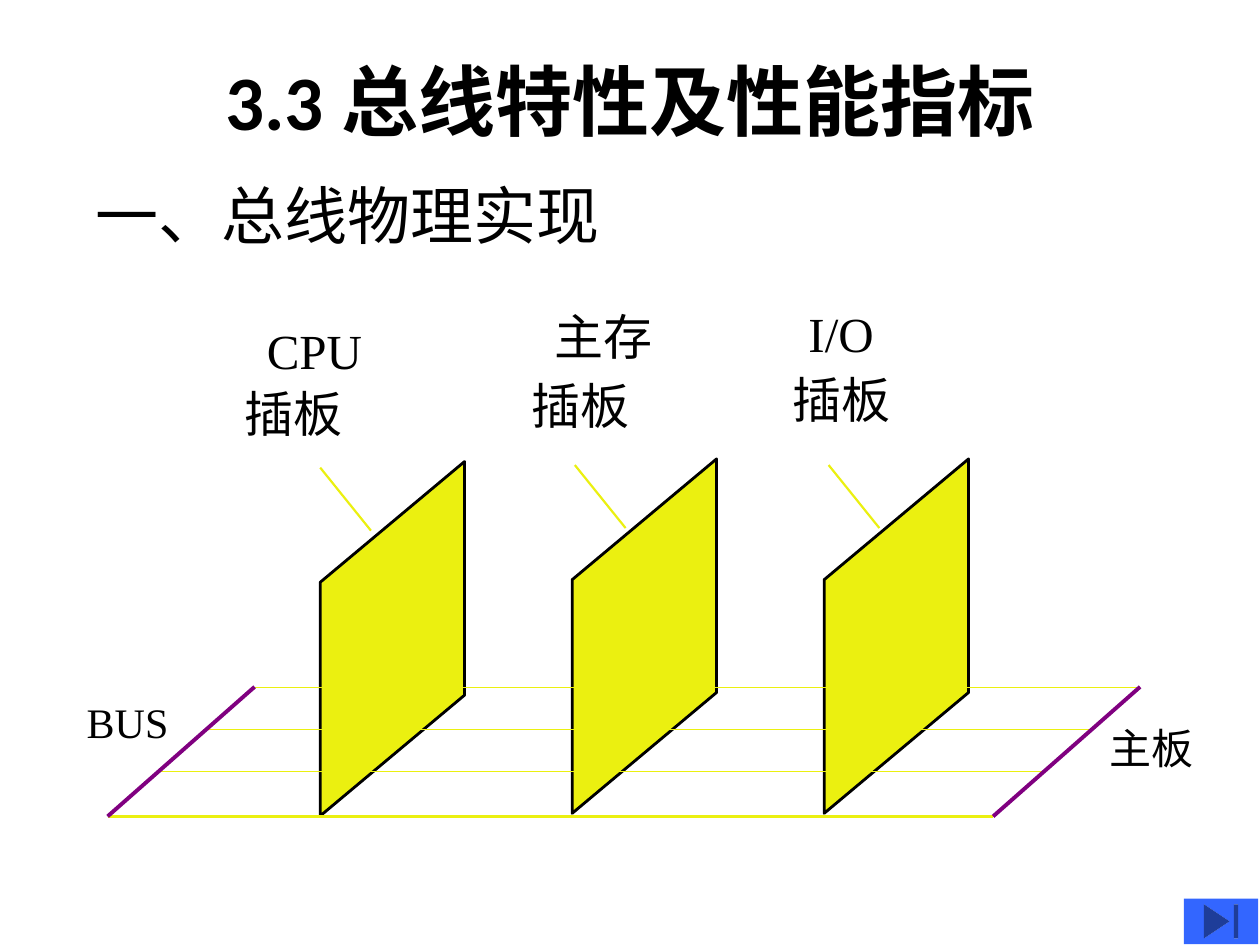
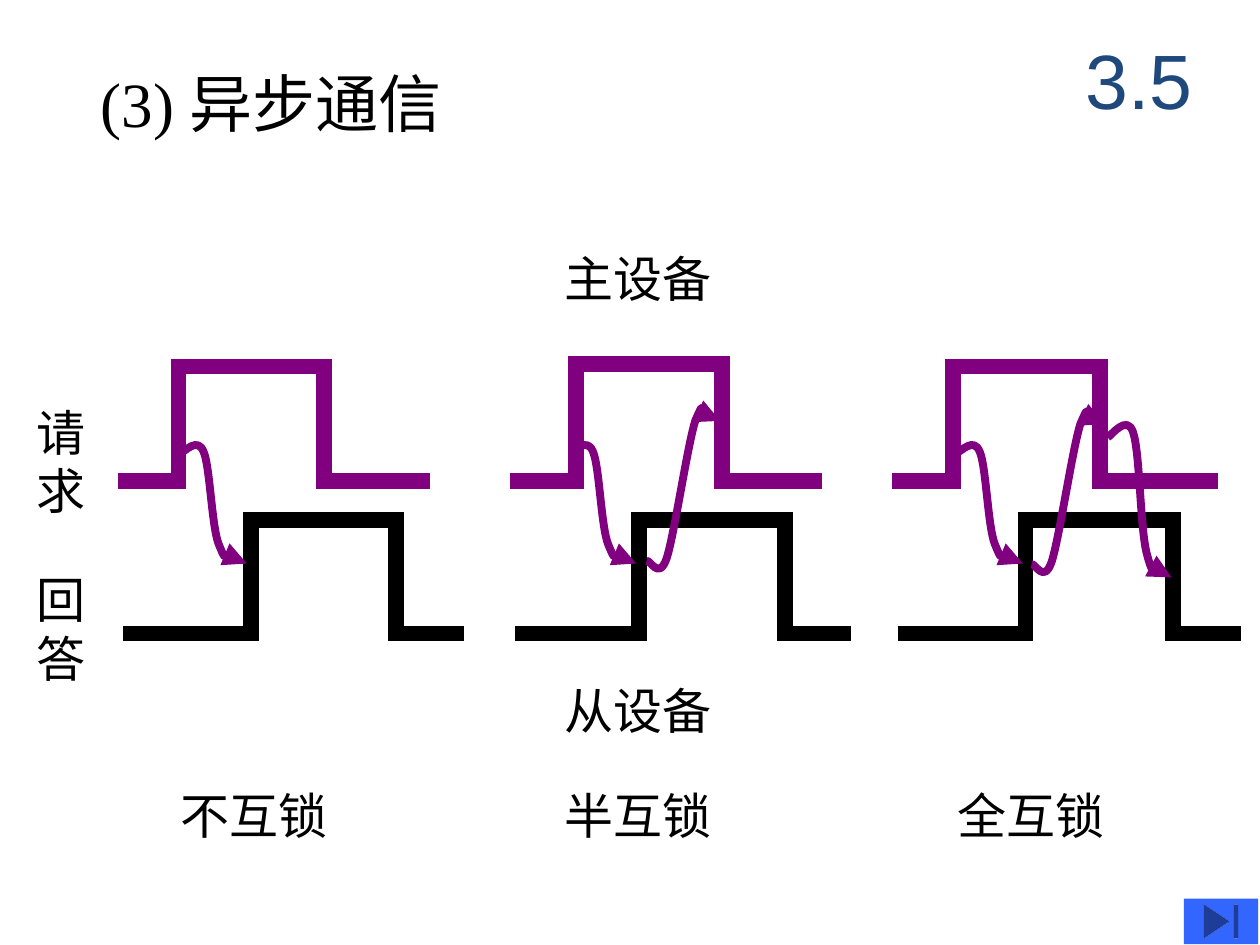
from dataclasses import dataclass, field

from lxml import etree
from pptx import Presentation
from pptx.dml.color import RGBColor
from pptx.enum import shapes, text
from pptx.oxml import ns
from pptx.util import Pt


@dataclass(frozen=True)
class Theme:
    ink: str = "000000"
    navy: str = "1F497D"
    purple: str = "800080"
    yellow: str = "EBF010"
    button: str = "3366FF"
    thin: float = 0.75
    lead: float = 1.25
    edge: float = 1.62
    rail: float = 2.25
    arrow: float = 4.5
    pulse: float = 9
    serif: str = "Times New Roman"
    styles: dict = field(default_factory=lambda: {
        "title": dict(name="Calibri", size=Pt(44), bold=True),
        "number": dict(name="Arial", size=Pt(44)),
        "heading": dict(name=Theme.serif, size=Pt(36)),
        "label": dict(name=Theme.serif, size=Pt(28)),
        "board": dict(name="Calibri", size=Pt(28)),
        "small": dict(name=Theme.serif, size=Pt(24)),
    })


T = Theme()

# Cubic curves: a start point, then three points for each piece.
RISE = [(36, 50.5), (38, 50.5), (45.5, 41), (49, 50.5), (52.5, 59), (53.5, 93),
        (57.5, 103), (62, 114), (70, 111.5), (73.5, 114)]
REPLY = [(0, 0), (2, -1), (7, 11.5), (11.5, -1.5), (16, -15.5), (23.5, -67),
         (28, -80.5), (33.5, -93), (40, -80), (42, -80)]
RELEASE = [(0, 0), (2, -1), (11, -13.5), (14.5, -3), (18.5, 8.5), (18.5, 53),
           (22.5, 67), (26, 80), (34.5, 75), (36.5, 77), (39, 79), (36.5, 79),
           (36.5, 80)]


def set_all(obj, values):
    for name, value in values.items():
        setattr(obj, name, value)


def rgb(value):
    return RGBColor.from_string(value)


def put_text(s, box, content, style, color=T.ink, inset=(7.2, 3.6), wrap=False,
             centred=False):
    """Write one paragraph for each line of content."""
    tf = s.shapes.add_textbox(*map(Pt, box)).text_frame
    dx, dy = map(Pt, inset)
    fit = text.MSO_AUTO_SIZE
    set_all(tf, dict(
        word_wrap=wrap, margin_left=dx, margin_right=dx, margin_top=dy, margin_bottom=dy,
        auto_size=fit.NONE if centred else fit.SHAPE_TO_FIT_TEXT,
        vertical_anchor=text.MSO_ANCHOR.MIDDLE if centred else text.MSO_ANCHOR.TOP))
    for i, line in enumerate(content.split("\n")):
        p = tf.paragraphs[0] if i == 0 else tf.add_paragraph()
        p.alignment = text.PP_ALIGN.CENTER if centred else text.PP_ALIGN.LEFT
        r = p.add_run()
        r.text = line
        set_all(r.font, T.styles[style])
        r.font.color.rgb = rgb(color)


def set_line(sp, color, width):
    sp.line.color.rgb = rgb(color)
    sp.line.width = Pt(width)


def draw_line(s, start, end, color, width):
    c = s.shapes.add_connector(shapes.MSO_CONNECTOR.STRAIGHT, *map(Pt, start + end))
    set_line(c, color, width)
    etree.SubElement(c._element.spPr, ns.qn("a:effectLst"))


def draw_path(s, points, color, width, close=False):
    points = [(Pt(x), Pt(y)) for x, y in points]
    fb = s.shapes.build_freeform(*points[0])
    fb.add_line_segments(points[1:], close=close)
    sp = fb.convert_to_shape()
    sp.shadow.inherit = False
    set_line(sp, color, width)
    return sp


def draw_curved_arrow(s, points, color, width):
    """Draw chained cubic pieces that end in an arrowhead."""
    sp = draw_path(s, points, color, width)
    sp.fill.background()
    steps = list(sp._element.iter(ns.qn("a:lnTo")))
    for i in range(0, len(steps), 3):
        cubic = etree.Element(ns.qn("a:cubicBezTo"))
        steps[i].addprevious(cubic)
        for step in steps[i:i + 3]:
            cubic.append(step[0])
            step.getparent().remove(step)
    ln = sp.line._get_or_add_ln()
    etree.SubElement(ln, ns.qn("a:round"))
    etree.SubElement(ln, ns.qn("a:tailEnd"), type="triangle")


def shift(points, dx, dy):
    return [(x + dx, y + dy) for x, y in points]


def draw_end_button(s):
    sp = s.shapes.add_shape(shapes.MSO_SHAPE.ACTION_BUTTON_END,
                            *map(Pt, (676.5, 513.5, 42.5, 26)))
    sp.shadow.inherit = False
    sp.fill.solid()
    sp.fill.fore_color.rgb = rgb(T.button)
    sp.line.fill.background()


def draw_board(s, box, name, name_at, slot_at, lead_dx):
    """Draw a slanted plug-in board with its two label lines and a lead."""
    x, y, w, h = box
    slant = 69
    sp = draw_path(s, [(x, y + slant), (x + w, y), (x + w, y + h - slant), (x, y + h)],
                   T.ink, T.edge, close=True)
    sp.fill.solid()
    sp.fill.fore_color.rgb = rgb(T.yellow)
    for label, (dx, dy), style in ((name, name_at, "label"), ("插板", slot_at, "board")):
        put_text(s, (x + dx, y + dy, 60, 34), label, style, inset=(0, 0))
    start = (x + lead_dx, y + 3.5)
    draw_line(s, start, (start[0] + 29, start[1] + 36), T.yellow, T.lead)


def draw_bus(s, box):
    """Draw the motherboard: four bus lines between two slanted rails."""
    x, y, w, h = box
    slant = 84
    span = w - slant
    for dy, width in ((0.5, T.thin), (24.4, T.thin), (48.3, T.thin), (h, T.edge)):
        left, top = x + slant * (1 - dy / h), y + dy
        draw_line(s, (left, top), (left + span, top), T.yellow, width)
    for dx in (0, span):
        draw_line(s, (x + dx + slant, y), (x + dx, y + h), T.purple, T.rail)
    put_text(s, (x - 19, y + 2, 66, 36), "BUS", "small")
    put_text(s, (x + w - 24.5, y + 17, 70, 36), "主板", "small")


def draw_pulse(s, xs, low, high, color):
    """Draw a square pulse from five bars whose ends overlap at the corners."""
    start, rise, fall, end = xs
    half = T.pulse / 2
    top, bottom = min(low, high) - half, max(low, high) + half
    for a, b in (((start, low), (rise + half, low)),
                 ((rise, top), (rise, bottom)),
                 ((rise - half, high), (fall + half, high)),
                 ((fall, top), (fall, bottom)),
                 ((fall - half, low), (end, low))):
        draw_line(s, a, b, color, T.pulse)


def draw_handshake(s, at, request, answer, high, rise_dx, arrows):
    """Draw a request pulse, its answer pulse and the arrows between them."""
    x, y = at
    draw_pulse(s, [x + dx for dx in request], y + 67, y + high, T.purple)
    draw_pulse(s, [x + dx for dx in answer], y + 154, y + 89, T.ink)
    for curve, dx, dy in [(RISE, rise_dx, 0)] + arrows:
        draw_curved_arrow(s, shift(curve, x + dx, y + dy), T.purple, T.arrow)


def bus_slide(s):
    put_text(s, (54, 11.75, 612, 90), "3.3 总线特性及性能指标", "title", wrap=True,
             centred=True)
    put_text(s, (47.5, 97.5, 310, 50), "一、总线物理实现", "heading")
    boards = [("CPU", 263.75, (-30.5, -80.5), (-43.5, -44.5), 0),
              ("主存", 262.25, (-10, -87), (-23, -47.5), 1.5),
              ("I/O", 262.25, (-9, -89), (-18, -51), 2.5)]
    for i, (name, top, name_at, slot_at, lead_dx) in enumerate(boards):
        draw_board(s, (183 + 144 * i, top, 82.5, 202.5), name, name_at, slot_at, lead_dx)
    draw_bus(s, (61.5, 392.5, 590, 74))
    draw_end_button(s)


def handshake_slide(s):
    put_text(s, (50.5, 33.25, 225, 50), "(3) 异步通信", "heading")
    put_text(s, (606, 12.25, 90, 66), "3.5", "number", color=T.navy, wrap=True,
             centred=True)
    for x, y, label in ((315.5, 138.25, "主设备"), (315.5, 385.25, "从设备"),
                        (96, 445.25, "不互锁"), (315.5, 445.25, "半互锁"),
                        (540, 445.25, "全互锁")):
        put_text(s, (x, y, 150, 41), label, "label", wrap=True)
    for y, label in ((226.25, "请\n求"), (322, "回\n答")):
        put_text(s, (13.5, y, 43, 75), label, "label")
    top = 208
    draw_handshake(s, (67.5, top), (0, 34.5, 117.5, 178.5), (3, 76, 159, 197.5),
                   1.5, 0, [])
    draw_handshake(s, (291.5, top), (0, 37.5, 121, 178.5), (3, 73.5, 157, 195),
                   0, -1.5, [(REPLY, 78, 112.5)])
    draw_handshake(s, (510, top), (0, 34.5, 118.5, 186), (3, 76, 160.5, 199),
                   1.5, 1, [(REPLY, 79.5, 114.5), (RELEASE, 123, 42)])
    draw_end_button(s)


def main():
    prs = Presentation()
    prs.slide_width, prs.slide_height = Pt(720), Pt(540)
    for build in (bus_slide, handshake_slide):
        build(prs.slides.add_slide(prs.slide_layouts[6]))
    prs.save("out.pptx")


if __name__ == "__main__":
    main()
